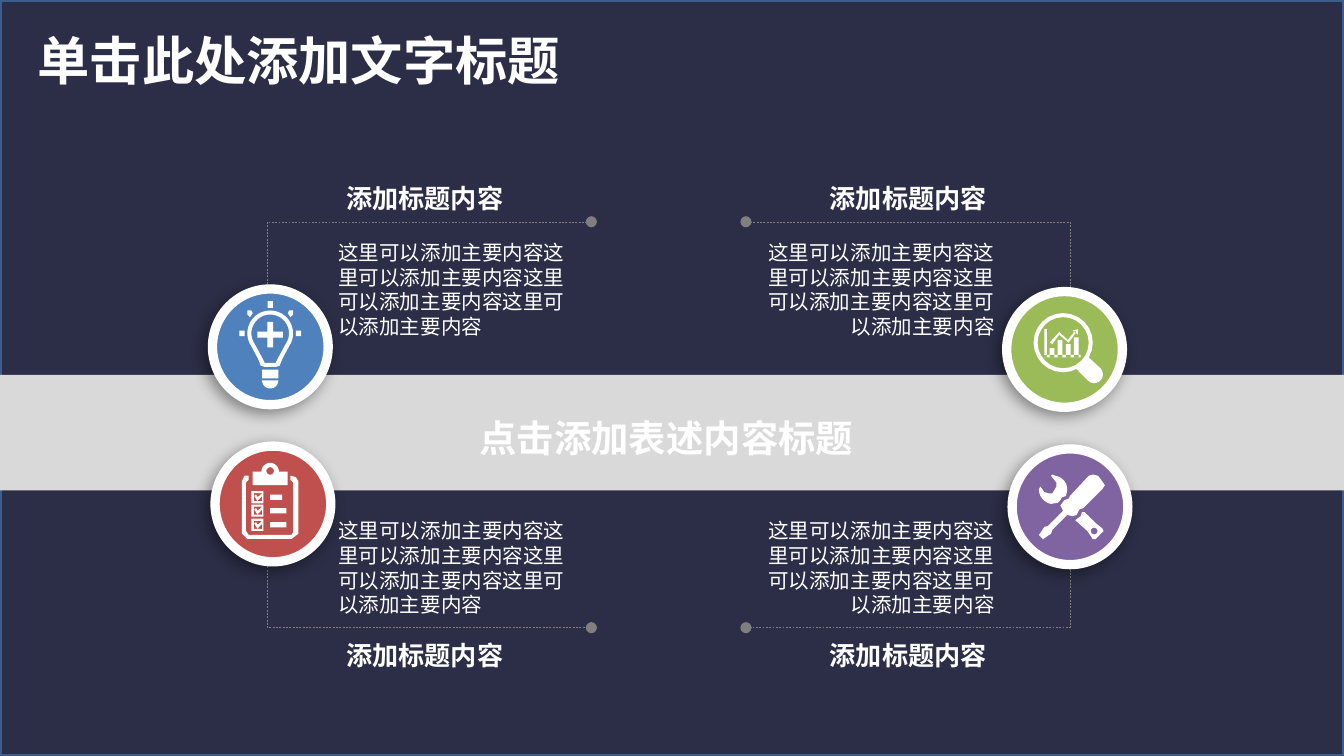
import math

import lxml.etree
import pptx
import pptx.dml.color
import pptx.enum.shapes
import pptx.enum.text
import pptx.oxml
import pptx.oxml.ns
import pptx.util

Pt = pptx.util.Pt
qn = pptx.oxml.ns.qn
SHAPE = pptx.enum.shapes.MSO_SHAPE
ALIGN = pptx.enum.text.PP_ALIGN

FONT = "Noto Sans CJK SC"
HEADING = "添加标题内容"
BODY = "这里可以添加主要内容" * 4
COLORS = {"navy": "2C2E47", "frame": "3A5F8C", "band": "D9D9D9", "white": "FFFFFF",
          "leader": "7F7F7F", "blue": "4F81BD", "red": "C0504D",
          "green": "9BBB59", "purple": "8064A2"}
ICON_GRID = 86
DISC = 62
SHADOW = (f'<a:effectLst xmlns:a="{pptx.oxml.ns.nsdecls("a").split(chr(34))[1]}">'
          '<a:outerShdw blurRad="101600" dist="38100" dir="8100000" algn="tr" rotWithShape="0">'
          '<a:srgbClr val="000000"><a:alpha val="40000"/></a:srgbClr>'
          '</a:outerShdw></a:effectLst>')


def rgb(name):
    """Return the named colour."""
    return pptx.dml.color.RGBColor.from_string(COLORS[name])


def arc(cx, cy, r, start=0, end=360):
    """Return points on an arc, in degrees clockwise from the right."""
    steps = 24
    angles = [math.radians(start + (end - start) * i / steps) for i in range(steps + 1)]
    return [(cx + r * math.cos(a), cy + r * math.sin(a)) for a in angles]


def rect(x1, y1, x2, y2):
    """Return the corners of a rectangle."""
    return [(x1, y1), (x2, y1), (x2, y2), (x1, y2)]


def bulb():
    """Return the outlines of a light bulb with a plus."""
    a, b = 9.5, 2.2
    plus = [(-b, -a), (b, -a), (b, -b), (a, -b), (a, b), (b, b),
            (b, a), (-b, a), (-b, b), (-a, b), (-a, -b), (-b, -b)]
    ray = [(15, -22), (17, -24), (17, -27), (14, -27), (13, -25)]
    return [arc(0, -10, 17, 145, 395) + [(9, 9), (7, 14), (4, 15), (-4, 15), (-7, 14), (-9, 9)],
            arc(0, -10, 14, 145, 395) + [(6, 8), (4, 12), (-4, 12), (-6, 8)],
            [(x, y - 9) for x, y in plus],
            rect(-6, 17, 6, 23.5), arc(0, 25, 6, 0, 180),
            rect(-23, -12, -19, -8), rect(19, -12, 23, -8), rect(-2, -34, 2, -29),
            ray, [(-x, y) for x, y in ray]]


def checklist():
    """Return the outlines of a clipboard with three ticked rows."""
    board = [(-18, -21), (-21, -21), (-23, -17), (-23, 22), (-19, 26), (14, 26), (19, 22),
             (19, -17), (17, -20), (13, -21), (13, -18), (15, -16), (15, 21), (14, 23),
             (-18, 23), (-20, 20), (-20, -16), (-18, -18)]
    clip = [(-15, -14), (-15, -24)] + arc(-2, -24, 6.5, 180, 360) + [(11, -24), (11, -14)]
    tick = [(-13.8, -1), (-12.5, -2), (-11.3, 0), (-8, -2.9), (-8.2, -0.6), (-11.5, 2.9)]
    parts = [board, clip, arc(-2, -24.5, 2.8)]
    for y, end in ((-5, 7), (5, 10), (15.5, 10)):
        parts += [rect(-16, y - 4.5, -7, y + 4.5), rect(-14, y - 3, -8, y + 3),
                  [(px, y + py) for px, py in tick], rect(-2, y - 2, end, y + 2)]
    return parts


def magnifier():
    """Return the outlines of a magnifier over a bar chart."""
    bars = [rect(x, y, x + 3.5, 6) for x, y in ((-11, -1), (-5, -7), (1, -4), (7, -9))]
    trend = [(-11, -5), (-4, -13), (2.5, -7), (8, -14), (9, -13), (3, -5), (-4, -11), (-9, -4)]
    return bars + [arc(-1, -5, 22), arc(-1, -5, 19),
                   arc(-1, -5, 22, 63, 30) + arc(22, 18.5, 6.5, -45, 135),
                   rect(-15, -15, -13, 6), rect(-15, 4, 12, 6),
                   trend, [(10, -15), (6, -14), (10, -11)]]


def tools():
    """Return the outlines of a wrench crossed by a screwdriver."""
    jaw = ([(-6, -7), (-3, -8)] + arc(-12, -13, 10, 20, -80)
           + [(-13, -24), (-14, -23), (-10, -18), (-10, -15), (-13, -10), (-16, -10),
              (-19, -11), (-22, -15)] + arc(-12, -13, 11, 180, 100) + [(-9, -3), (-7, -5)])
    shank = [(9, 4), (8, 7), (4, 10), (13, 18), (17, 24), (19, 24), (25, 18), (24, 16),
             (19, 12), (11, 4)]
    driver = [(24, -19), (21, -23), (17, -24), (14, -23), (0, -8), (-1, -6), (-4, -5),
              (-7, -1), (-5, 3), (-16, 14), (-19, 15), (-23, 21), (-20, 24), (-14, 20),
              (-13, 17), (-2, 6), (2, 7), (5, 6), (7, 2), (10, 1), (24, -13), (26, -16)]
    return [jaw, shank, arc(18, 18, 2.5), driver]


def add_shape(s, kind, box, fill):
    """Add a plain filled preset shape."""
    sp = s.shapes.add_shape(kind, *map(Pt, box))
    sp.shadow.inherit = False
    sp.fill.solid()
    sp.fill.fore_color.rgb = rgb(fill)
    sp.line.fill.background()
    return sp


def set_line(sp, color, width):
    """Give a shape a solid outline."""
    sp.line.color.rgb = rgb(color)
    sp.line.width = Pt(width)


def set_text(sp, text, size, bold=False, align=ALIGN.LEFT, wrap=True, inset=(4.8, 2.2)):
    """Fill a text shape with one white paragraph."""
    tf = sp.text_frame
    tf.text = text
    tf.word_wrap = wrap
    tf.auto_size = pptx.enum.text.MSO_AUTO_SIZE.NONE
    tf.vertical_anchor = pptx.enum.text.MSO_ANCHOR.TOP
    tf.margin_left = tf.margin_right = Pt(inset[0])
    tf.margin_top, tf.margin_bottom = Pt(inset[1] + size * 0.1), Pt(inset[1])
    p = tf.paragraphs[0]
    p.alignment = align
    p.line_spacing = Pt(size * 1.2)
    p.font.size, p.font.bold, p.font.name = Pt(size), bold, FONT
    p.font.color.rgb = rgb("white")
    for d in p._p.iter(qn("a:defRPr")):
        lxml.etree.SubElement(d, qn("a:ea")).set("typeface", FONT)


def add_header(s, box):
    """Add the framed backdrop and the slide title."""
    frame = add_shape(s, SHAPE.RECTANGLE, box, "navy")
    set_line(frame, "frame", 2)
    title = s.shapes.title
    title.element.addprevious(frame.element)
    title.left, title.top, title.width, title.height = map(Pt, (13, 8.6, 297.4, 41))
    set_text(title, "单击此处添加文字标题", 28, True, wrap=False, inset=(7.2, 3.6))


def add_leader(s, box, right, lower):
    """Add the dashed elbow from a badge to the inner edge of its box."""
    x, y, w, h = box
    outer, inner = (x + w, x) if right else (x, x + w)
    level, start = (y + 62, y + 23) if lower else (y + 24.5, y + 64)
    b = s.shapes.build_freeform(Pt(outer), Pt(start))
    b.add_line_segments([(Pt(outer), Pt(level)), (Pt(inner), Pt(level))], close=False)
    sp = b.convert_to_shape()
    sp.shadow.inherit = False
    sp.fill.background()
    set_line(sp, "leader", 0.25)
    sp.line.dash_style = pptx.enum.dml.MSO_LINE.DASH
    ln = sp.element.spPr.find(qn("a:ln"))
    for end in ("a:headEnd", "a:tailEnd"):
        lxml.etree.SubElement(ln, qn(end)).set("type", "oval")


def add_band(s, box):
    """Add the grey band with its heading."""
    add_shape(s, SHAPE.RECTANGLE, box, "band")
    sp = s.shapes.add_textbox(*map(Pt, (252, box[1] + 17.3, 211.6, 29.5)))
    set_text(sp, "点击添加表述内容标题", 20, True, wrap=False)


def add_badge(s, x, y, color, icon):
    """Add a white-ringed disc with its icon."""
    disc = add_shape(s, SHAPE.OVAL, (x, y, DISC, DISC), color)
    set_line(disc, "white", 5)
    spPr = disc.element.spPr
    spPr.replace(spPr.find(qn("a:effectLst")), pptx.oxml.parse_xml(SHADOW))
    outlines = [[(px * 100, py * 100) for px, py in part] for part in icon()]
    b = s.shapes.build_freeform(*outlines[0][0], scale=Pt(DISC) / ICON_GRID / 100)
    for part in outlines:
        b.move_to(*part[0])
        b.add_line_segments(part[1:], close=True)
    sp = b.convert_to_shape(Pt(x + DISC / 2), Pt(y + DISC / 2))
    sp.shadow.inherit = False
    sp.fill.solid()
    sp.fill.fore_color.rgb = rgb("white")
    sp.line.fill.background()


def add_caption(s, box, right, lower):
    """Add the heading and body text of one callout."""
    x, y = box[:2]
    head_x, body_x = (x + 39.6, x) if right else (x + 37.4, x + 33.1)
    head_y, body_y = (y + 64.8, y) if lower else (y, y + 31)
    align = ALIGN.RIGHT if right else ALIGN.LEFT
    head = s.shapes.add_textbox(*map(Pt, (head_x, head_y, 94.4, 21.6)))
    set_text(head, HEADING, 14, True, align)
    body = s.shapes.add_textbox(*map(Pt, (body_x, body_y, 138.2, 58.3)))
    set_text(body, BODY, 11, False, align)


def main():
    """Build and save the slide."""
    prs = pptx.Presentation()
    prs.slide_width, prs.slide_height = Pt(720), Pt(405)
    s = prs.slides.add_slide(prs.slide_layouts[5])
    s.background.fill.solid()
    s.background.fill.fore_color.rgb = rgb("navy")
    add_header(s, (0, 0, 720, 405))
    callouts = [((x, y, 173.5, 88), right, lower)
                for lower, y in ((False, 94.3), (True, 274.3))
                for right, x in ((False, 143.3), (True, 399.6))]
    for callout in callouts:
        add_leader(s, *callout)
    add_band(s, (0, 200.9, 720, 61.9))
    for badge in ((113.8, 154.8, "blue", bulb), (115.2, 239, "red", checklist),
                  (539.3, 156.2, "green", magnifier), (542.2, 240.5, "purple", tools)):
        add_badge(s, *badge)
    for callout in callouts:
        add_caption(s, *callout)
    prs.save("out.pptx")


if __name__ == "__main__":
    main()
